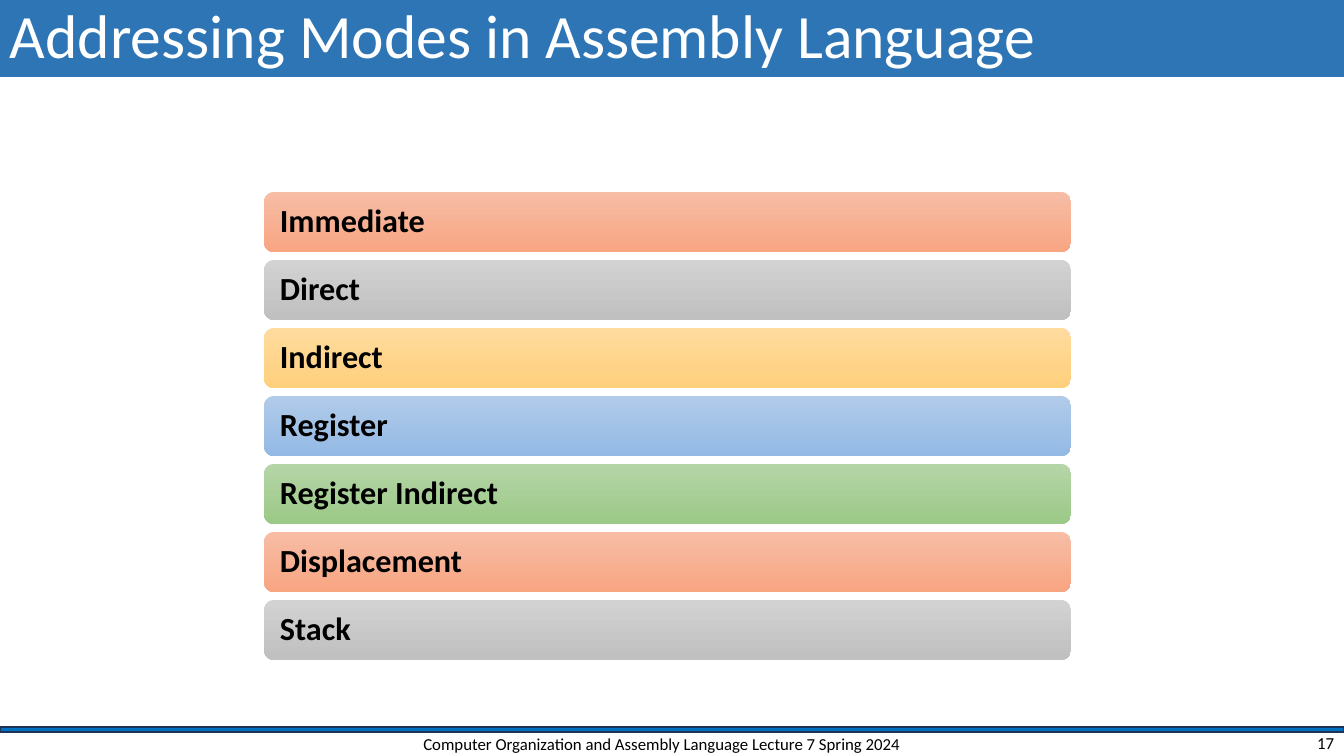
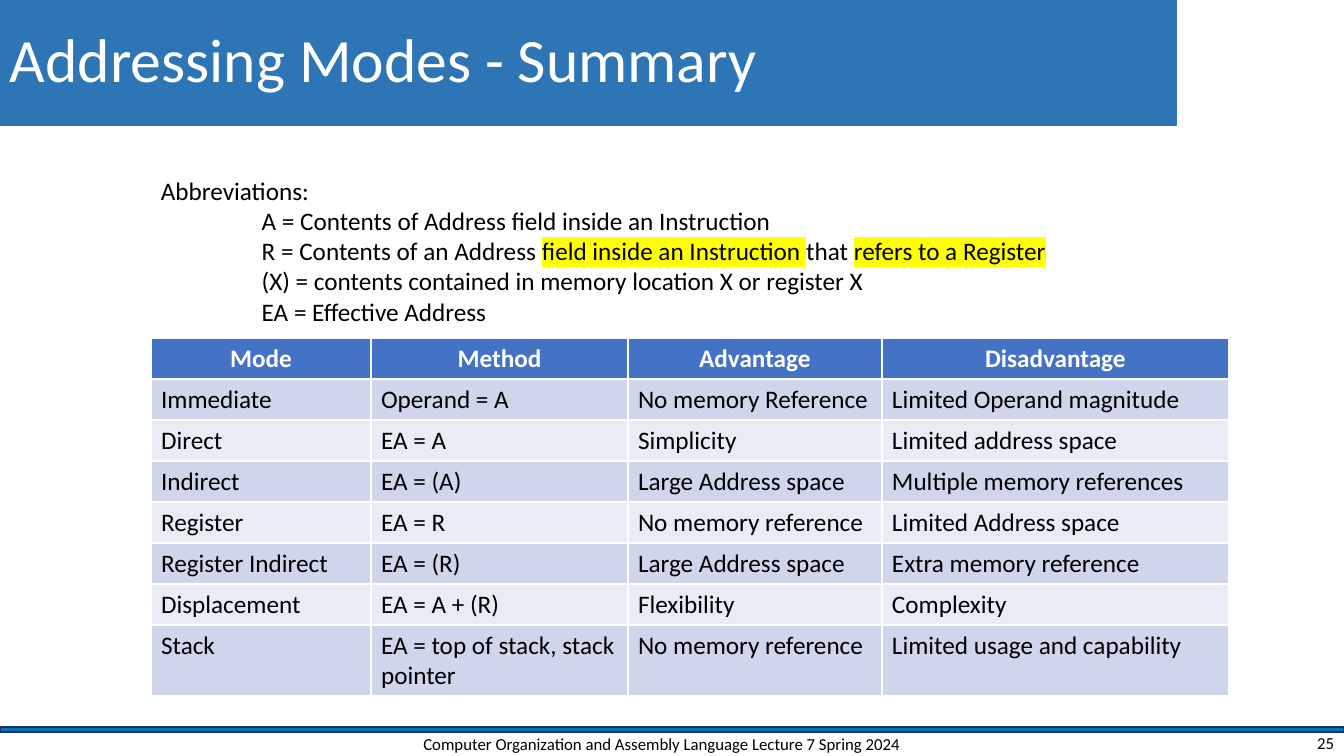
"""Builds two slides on addressing modes in assembly language."""
import pptx
import pptx.chart.data
import pptx.dml.color
import pptx.enum.shapes
import pptx.enum.text
import pptx.oxml
import pptx.oxml.ns
import pptx.util

SCALE = 12192000 / 1344
COLORS = {
    "title": "2E75B6", "rule": "0070C0", "rule edge": "1E3256",
    "white": "FFFFFF", "black": "000000", "highlight": "FFFF00",
    "header": "4472C4", "odd row": "CFD5EA", "even row": "E9EBF5",
    "orange top": "F7BDA5", "orange bottom": "F8A582",
    "gray top": "D2D2D2", "gray bottom": "C0C0C0",
    "gold top": "FFDB9E", "gold bottom": "FFD07C",
    "blue top": "B1CBE9", "blue bottom": "93B9E4",
    "green top": "B5D5A7", "green bottom": "9CC987",
}
RGB = {name: pptx.dml.color.RGBColor.from_string(value) for name, value in COLORS.items()}
ALIGN = pptx.enum.text.PP_ALIGN
MIDDLE = pptx.enum.text.MSO_ANCHOR.MIDDLE
SHAPE = pptx.enum.shapes.MSO_SHAPE
NAMESPACE = pptx.oxml.ns.nsdecls("a")


def px(*lengths):
    """Turn px into EMU."""
    return [pptx.util.Emu(round(length * SCALE)) for length in lengths]


def style(paragraph, size, color="black", bold=False, align=ALIGN.LEFT):
    """Set the font and alignment of a paragraph."""
    paragraph.alignment = align
    paragraph.font.name = "Calibri"
    paragraph.font.size = pptx.util.Pt(size)
    paragraph.font.bold = bold
    paragraph.font.color.rgb = RGB[color]


deck = pptx.Presentation()
deck.slide_width, deck.slide_height = px(1344, 756)

slides = []
for title, title_width, title_height, number in [
    ("Addressing Modes in Assembly Language", 1344, 77, "17"),
    ("Addressing Modes - Summary", 1177, 126, "25"),
]:
    slide = deck.slides.add_slide(deck.slide_layouts[6])
    slides.append(slide)

    rule = slide.shapes.add_shape(SHAPE.RECTANGLE, *px(0, 727, 1344, 5))
    rule.shadow.inherit = False
    rule.fill.solid()
    rule.fill.fore_color.rgb = RGB["rule"]
    rule.line.color.rgb = RGB["rule edge"]
    rule.line.width = pptx.util.Pt(1)

    band = slide.shapes.add_shape(SHAPE.RECTANGLE, *px(0, 0, title_width, title_height))
    band.shadow.inherit = False
    band.fill.solid()
    band.fill.fore_color.rgb = RGB["title"]
    band.line.fill.background()
    band.text_frame.vertical_anchor = MIDDLE
    heading = band.text_frame.paragraphs[0]
    heading.text = title
    heading.line_spacing = 0.9
    style(heading, 44, "white")

    for text, left, width, height, align in [
        ("Computer Organization and Assembly Language Lecture 7 Spring 2024",
         395, 534, 28, ALIGN.CENTER),
        (number, 1042, 302, 25, ALIGN.RIGHT),
    ]:
        footer = slide.shapes.add_textbox(*px(left, 730, width, height)).text_frame
        footer.word_wrap = True
        footer.vertical_anchor = MIDDLE
        footer.paragraphs[0].text = text
        style(footer.paragraphs[0], 12, align=align)

modes_slide, summary_slide = slides

modes = [
    ("Immediate", "orange"), ("Direct", "gray"), ("Indirect", "gold"),
    ("Register", "blue"), ("Register Indirect", "green"),
    ("Displacement", "orange"), ("Stack", "gray"),
]
for index, (mode, hue) in enumerate(modes):
    bar = modes_slide.shapes.add_shape(
        SHAPE.ROUNDED_RECTANGLE, *px(264, 192 + 68 * index, 807, 60))
    bar.shadow.inherit = False
    bar.line.fill.background()
    bar.fill.gradient()
    bar.fill.gradient_angle = 270
    for stop, end in zip(bar.fill.gradient_stops, ("top", "bottom")):
        stop.color.rgb = RGB[f"{hue} {end}"]
    bar.text_frame.margin_left, = px(13)
    bar.text_frame.vertical_anchor = MIDDLE
    label = bar.text_frame.paragraphs[0]
    label.text = mode
    label.line_spacing = 0.9
    style(label, 23, bold=True)

abbreviations = [
    [("Abbreviations:", False)],
    [("A = Contents of Address field inside an Instruction", False)],
    [("R = Contents of an Address ", False), ("field inside an Instruction ", True),
     ("that ", False), ("refers to a Register", True)],
    [("(X) = contents contained in memory location X or register X", False)],
    [("EA = Effective Address", False)],
]
legend = summary_slide.shapes.add_textbox(*px(151, 170, 915, 163)).text_frame
legend.word_wrap = True
for index, pieces in enumerate(abbreviations):
    entry = legend.add_paragraph() if index else legend.paragraphs[0]
    if index:
        entry._p.get_or_add_pPr().set("marL", str(pptx.util.Inches(1)))
    style(entry, 18)
    for text, highlighted in pieces:
        run = entry.add_run()
        run.text = text
        if highlighted:
            run._r.get_or_add_rPr().append(pptx.oxml.parse_xml(
                f'<a:highlight {NAMESPACE}><a:srgbClr val="{COLORS["highlight"]}"/></a:highlight>'))

summary = [
    ("Mode", "Method", "Advantage", "Disadvantage"),
    ("Immediate", "Operand = A", "No memory Reference", "Limited Operand magnitude"),
    ("Direct", "EA = A", "Simplicity", "Limited address space"),
    ("Indirect", "EA = (A)", "Large Address space", "Multiple memory references"),
    ("Register", "EA = R", "No memory reference", "Limited Address space"),
    ("Register Indirect", "EA = (R)", "Large Address space", "Extra memory reference"),
    ("Displacement", "EA = A + (R)", "Flexibility", "Complexity"),
    ("Stack", "EA = top of stack, stack pointer", "No memory reference",
     "Limited usage and capability"),
]
column_widths = px(220, 257, 254, 347)
row_heights = px(*[41] * 7, 70)
table = summary_slide.shapes.add_table(
    len(summary), len(column_widths), *px(151, 338, 1078, 357)).table
for column, width in zip(table.columns, column_widths):
    column.width = width
for row, height in zip(table.rows, row_heights):
    row.height = height
for row_index, texts in enumerate(summary):
    is_header = row_index == 0
    shade = "header" if is_header else "odd row" if row_index % 2 else "even row"
    for column_index, text in enumerate(texts):
        cell = table.cell(row_index, column_index)
        for side in "LRTB":
            cell._tc.get_or_add_tcPr().append(pptx.oxml.parse_xml(
                f'<a:ln{side} {NAMESPACE} w="12700"><a:solidFill>'
                f'<a:srgbClr val="{COLORS["white"]}"/></a:solidFill></a:ln{side}>'))
        cell.fill.solid()
        cell.fill.fore_color.rgb = RGB[shade]
        entry = cell.text_frame.paragraphs[0]
        entry.text = text
        if is_header:
            style(entry, 18, "white", True, ALIGN.CENTER)
        else:
            style(entry, 18)

deck.save("out.pptx")
